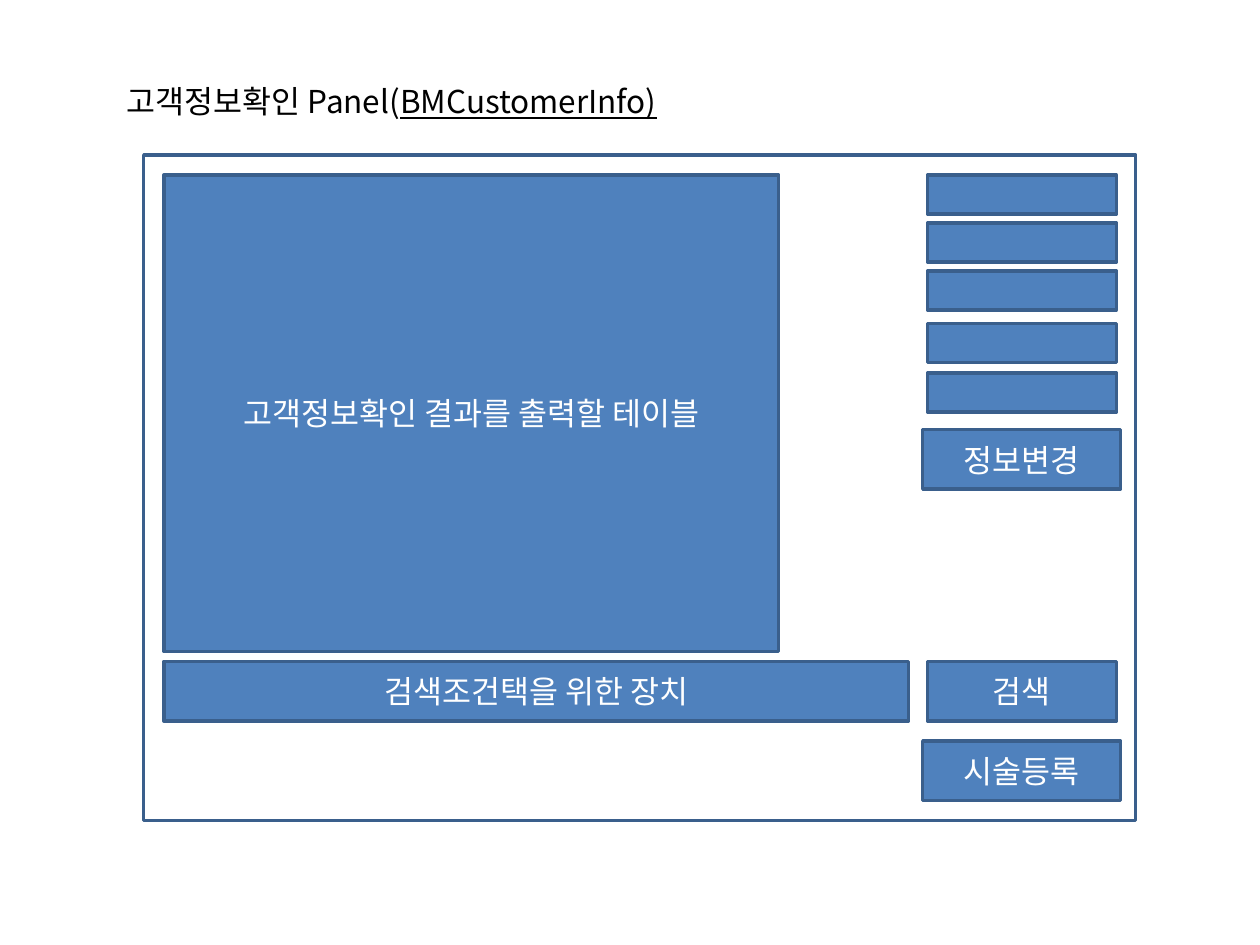
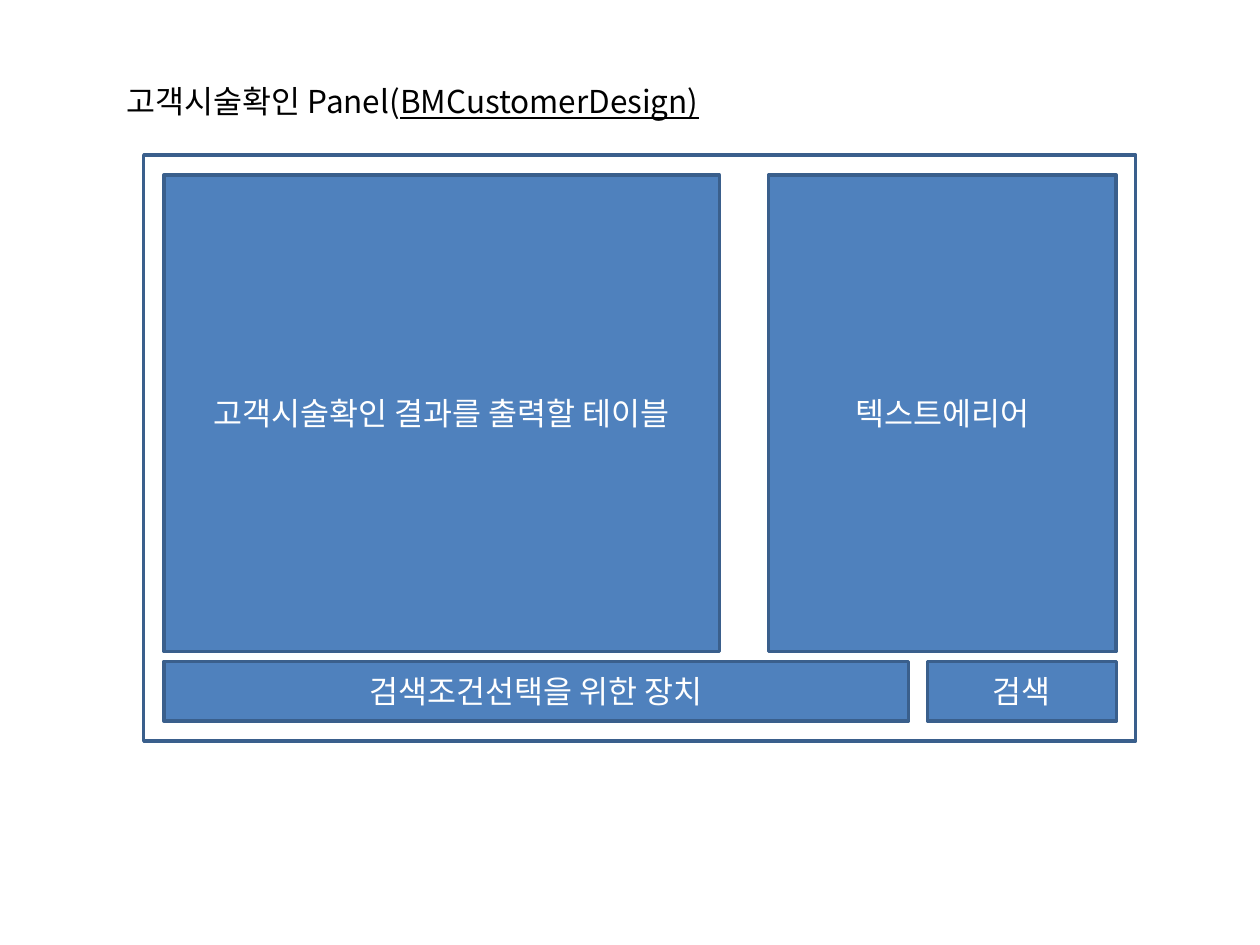
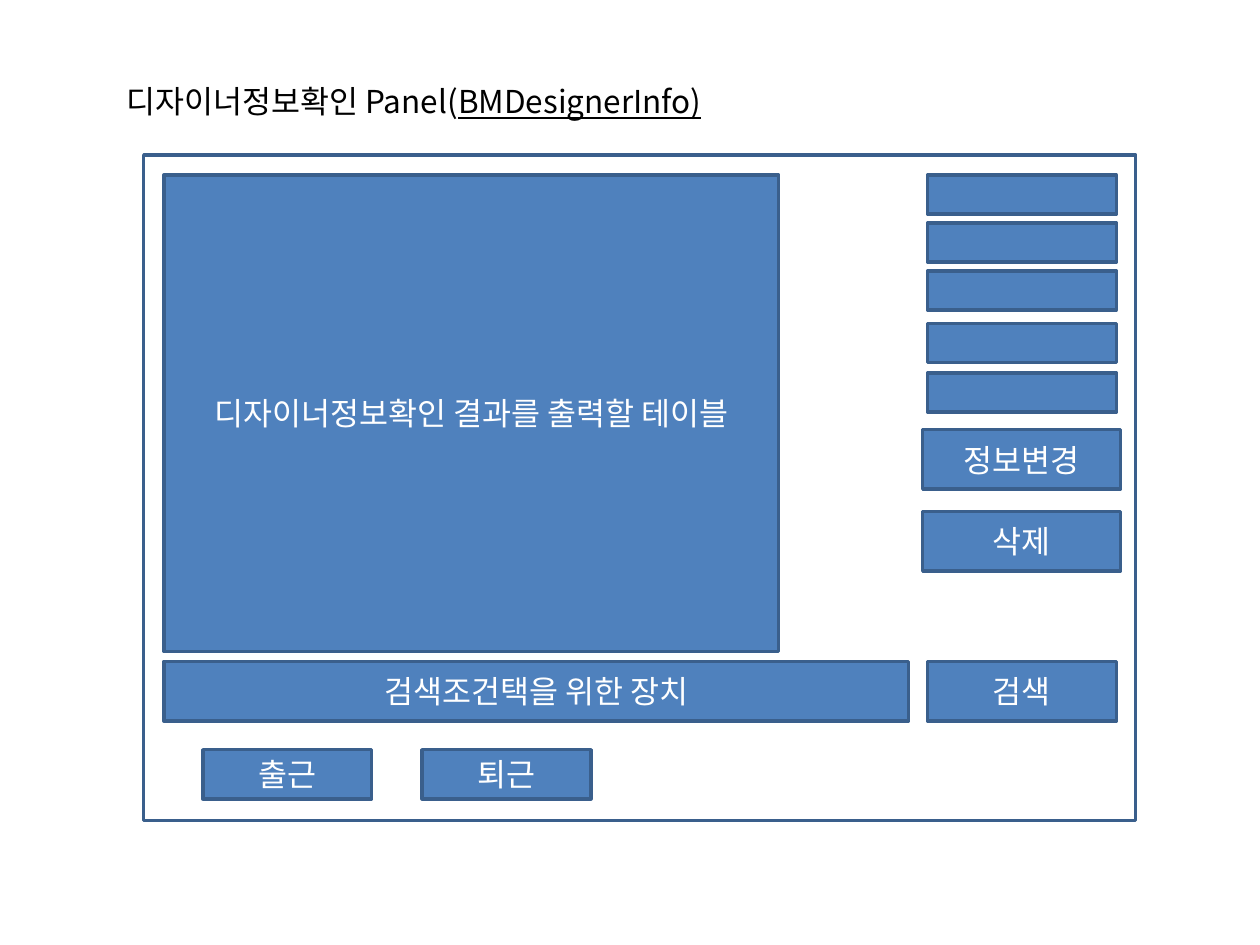
"""Build three wireframe slides for the customer and designer panels."""
from dataclasses import dataclass

import lxml.etree
import pptx
import pptx.dml.color
import pptx.enum.shapes
import pptx.enum.text
import pptx.oxml.ns
import pptx.util

Pt = pptx.util.Pt
COLORS = {"ink": "000000", "paper": "FFFFFF", "fill": "4F81BD", "edge": "3A5F8C"}
FONT = "Noto Sans CJK KR"
SIZE = 18
LEFT, TOP = 93.6, 100.1
BODY = 272.2
ROW = 34
SIDE, SPAN = 530, 108
WIDE = 113
TALL, SHORT = 380.2, 334.8
FIELDS = (TOP, 127.4, 154.8, 185, 213.1)


@dataclass(frozen=True)
class Box:
    x: float
    y: float
    w: float
    h: float
    text: str = ""
    fill: str | None = "fill"


@dataclass(frozen=True)
class Panel:
    name: str
    code: str
    width: float
    height: float
    hint: str
    boxes: tuple[Box, ...]


def tint(name: str) -> pptx.dml.color.RGBColor:
    return pptx.dml.color.RGBColor.from_string(COLORS[name])


def style(run, color: str) -> None:
    run.font.name = FONT
    run.font.size = Pt(SIZE)
    run.font.color.rgb = tint(color)
    east = lxml.etree.SubElement(run._r.get_or_add_rPr(), pptx.oxml.ns.qn("a:ea"))
    east.set("typeface", FONT)


def draw(slide, box: Box) -> None:
    kind = pptx.enum.shapes.MSO_SHAPE.RECTANGLE
    shape = slide.shapes.add_shape(kind, Pt(box.x), Pt(box.y), Pt(box.w), Pt(box.h))
    shape.shadow.inherit = False
    shape.line.color.rgb = tint("edge")
    shape.line.width = Pt(2)
    if box.fill:
        shape.fill.solid()
        shape.fill.fore_color.rgb = tint(box.fill)
    else:
        shape.fill.background()
    if box.text:
        frame = shape.text_frame
        frame.text = box.text
        frame.vertical_anchor = pptx.enum.text.MSO_ANCHOR.MIDDLE
        line = frame.paragraphs[0]
        line.alignment = pptx.enum.text.PP_ALIGN.CENTER
        style(line.runs[0], "paper")


def head(slide, panel: Panel) -> None:
    title = slide.shapes.title
    title.left, title.top = Pt(65.2), Pt(43.2)
    title.width, title.height = Pt(panel.width), Pt(29)
    frame = title.text_frame
    frame.text = f"{panel.name} Panel("
    frame.word_wrap = False
    frame.auto_size = pptx.enum.text.MSO_AUTO_SIZE.SHAPE_TO_FIT_TEXT
    frame.vertical_anchor = pptx.enum.text.MSO_ANCHOR.TOP
    line = frame.paragraphs[0]
    line.alignment = pptx.enum.text.PP_ALIGN.LEFT
    code = line.add_run()
    code.text = f"{panel.code})"
    code.font.underline = True
    for run in line.runs:
        style(run, "ink")


def table(panel: str, width: float) -> Box:
    return Box(LEFT, TOP, width, BODY, f"{panel} 결과를 출력할 테이블")


def button(y: float, text: str) -> Box:
    return Box(SIDE - 2.7, y, WIDE, ROW, text)


def clock(x: float, text: str) -> Box:
    return Box(x, 428.4, 96.5, 28.1, text)


def build(deck, panel: Panel) -> None:
    slide = deck.slides.add_slide(deck.slide_layouts[5])
    head(slide, panel)
    draw(slide, Box(82.1, 88.6, 566.9, panel.height, fill=None))
    search = (Box(SIDE, 378, SPAN, ROW, "검색"), Box(LEFT, 378, 425.5, ROW, panel.hint))
    for box in panel.boxes[:1] + search + panel.boxes[1:]:
        draw(slide, box)


def main() -> None:
    edit = (button(245.5, "정보변경"),) + tuple(Box(SIDE, y, SPAN, 22.3) for y in FIELDS)
    hint = "검색조건택을 위한 장치"
    panels = (
        Panel("고객정보확인", "BMCustomerInfo", 323.3, TALL, hint,
              (table("고객정보확인", 351.4), button(423.4, "시술등록"), *edit)),
        Panel("고객시술확인", "BMCustomerDesign", 347.8, SHORT, "검색조건선택을 위한 장치",
              (table("고객시술확인", 317.5), Box(439.2, TOP, 198.7, BODY, "텍스트에리어"))),
        Panel("디자이너정보확인", "BMDesignerInfo", 353.5, TALL, hint,
              (table("디자이너정보확인", 351.4), *edit, button(292.3, "삭제"),
               clock(115.9, "출근"), clock(241.2, "퇴근"))),
    )
    deck = pptx.Presentation()
    deck.slide_width, deck.slide_height = Pt(720), Pt(540)
    for panel in panels:
        build(deck, panel)
    deck.save("out.pptx")


main()
